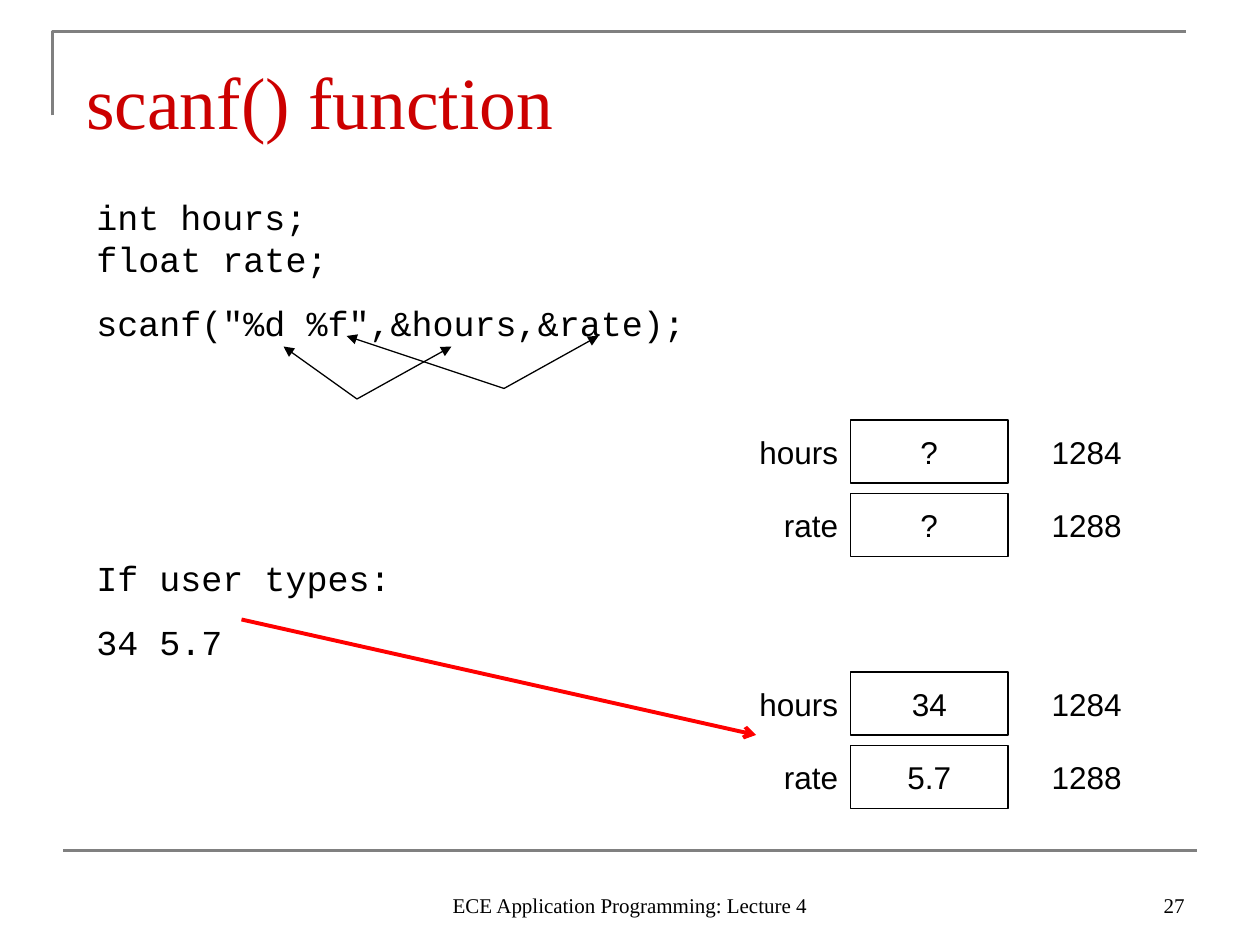
from lxml.etree import SubElement
from pptx import Presentation
from pptx.dml.color import RGBColor
from pptx.enum.shapes import MSO_CONNECTOR, MSO_SHAPE
from pptx.enum.text import MSO_ANCHOR, MSO_AUTO_SIZE, PP_ALIGN
from pptx.oxml.ns import qn
from pptx.util import Pt

BLACK, GRAY, TITLE_RED, ARROW_RED = "000000", "808080", "CC0000", "FF0000"
SERIF = {"name": "Times New Roman", "size": Pt(12)}
SANS = {"name": "Arial", "size": Pt(18)}
MONO = {"name": "Courier New", "size": Pt(20)}


def color(target, hex_value):
    target.rgb = RGBColor.from_string(hex_value)


def apply(target, values):
    for name, value in values.items():
        setattr(target, name, value)


def write(shape, lines, font, align=PP_ALIGN.LEFT, anchor=MSO_ANCHOR.TOP, ink=BLACK):
    frame = shape.text_frame
    apply(frame, {"word_wrap": True, "auto_size": MSO_AUTO_SIZE.NONE,
                  "vertical_anchor": anchor})
    frame.text = "\n".join(lines)
    for paragraph in frame.paragraphs:
        paragraph.alignment = align
        for run in paragraph.runs:
            apply(run.font, font)
            color(run.font.color, ink)
    return frame


def add_text(slide, box, lines, font, **layout):
    return write(slide.shapes.add_textbox(*map(Pt, box)), lines, font, **layout)


def add_line(slide, start, end, ink=BLACK, width=0.75, head=None):
    line = slide.shapes.add_connector(MSO_CONNECTOR.STRAIGHT, *map(Pt, start + end))
    color(line.line.color, ink)
    line.line.width = Pt(width)
    if head:
        SubElement(line.line._get_or_add_ln(), qn("a:tailEnd"), type=head)
    SubElement(line._element.spPr, qn("a:effectLst"))


def add_frame(slide, box):
    left, top, width, height = box
    builder = slide.shapes.build_freeform(Pt(left), Pt(top + height))
    builder.add_line_segments(
        [(Pt(left), Pt(top)), (Pt(left + width), Pt(top))], close=False)
    corner = builder.convert_to_shape()
    corner.shadow.inherit = False
    corner.fill.background()
    color(corner.line.color, GRAY)
    corner.line.width = Pt(1.5)
    add_line(slide, (36, 486), (684, 486), GRAY, 1.5)


def add_title(slide, box):
    title = slide.shapes.title
    apply(title, dict(zip(("left", "top", "width", "height"), map(Pt, box))))
    frame = write(title, ["scanf() function"], {**SERIF, "size": Pt(42)}, ink=TITLE_RED)
    apply(frame, {"margin_top": Pt(8), "margin_bottom": 0})


def add_code(slide, box):
    lines = ["int hours;\vfloat rate;", 'scanf("%d %f",&hours,&rate);',
             "If user types:", "34 5.7"]
    code = add_text(slide, box, lines, MONO)
    for paragraph, gap in zip(code.paragraphs, (0, 12.5, 122, 12.5)):
        apply(paragraph, {"space_before": Pt(gap), "line_spacing": Pt(24)})


def add_memory(slide, box, values):
    left, top, width, height = box
    column, row_height, pitch = width / 3, 36, height - 36
    variables = zip(("hours", "rate"), values, ("1284", "1288"))
    for row, (variable, value, address) in enumerate(variables):
        y = top + row * pitch
        cell = slide.shapes.add_shape(
            MSO_SHAPE.RECTANGLE, *map(Pt, (left + column, y, column, row_height)))
        cell.shadow.inherit = False
        cell.fill.background()
        color(cell.line.color, BLACK)
        cell.line.width = Pt(0.75)
        write(cell, [value], SANS, PP_ALIGN.CENTER, MSO_ANCHOR.MIDDLE)
        for x, label, align in ((left, variable, PP_ALIGN.RIGHT),
                                (left + 2 * column, address, PP_ALIGN.CENTER)):
            add_text(slide, (x, y, column, row_height), [label], SANS,
                     align=align, anchor=MSO_ANCHOR.MIDDLE)


def add_arrows(slide):
    pairings = [((204, 228), (162, 198), (258, 198)),
                ((288, 222), (198, 192), (342, 192))]
    for joint, specifier, argument in pairings:
        for end in (specifier, argument):
            add_line(slide, joint, end, head="triangle")
    add_line(slide, (138, 354), (432, 420), ARROW_RED, 2.25, "arrow")


def add_footer(slide, box):
    left, top, width, height = box
    number_width = 168
    add_text(slide, (left, top, 228, height), ["ECE Application Programming: Lecture 4"],
             SERIF, align=PP_ALIGN.CENTER, anchor=MSO_ANCHOR.BOTTOM)
    add_text(slide, (left + width - number_width, top, number_width, height), ["27"],
             SERIF, align=PP_ALIGN.RIGHT, anchor=MSO_ANCHOR.BOTTOM)


def main():
    deck = Presentation()
    apply(deck, {"slide_width": Pt(720), "slide_height": Pt(540)})
    slide = deck.slides.add_slide(deck.slide_layouts[5])
    add_frame(slide, (30, 18, 648, 48))
    add_title(slide, (42, 24, 612, 54))
    add_code(slide, (48, 108, 360, 274))
    add_memory(slide, (396, 240, 270, 78), ("?", "?"))
    add_memory(slide, (396, 384, 270, 78), ("34", "5.7"))
    add_arrows(slide)
    add_footer(slide, (246, 492, 438, 36))
    deck.save("out.pptx")


if __name__ == "__main__":
    main()
